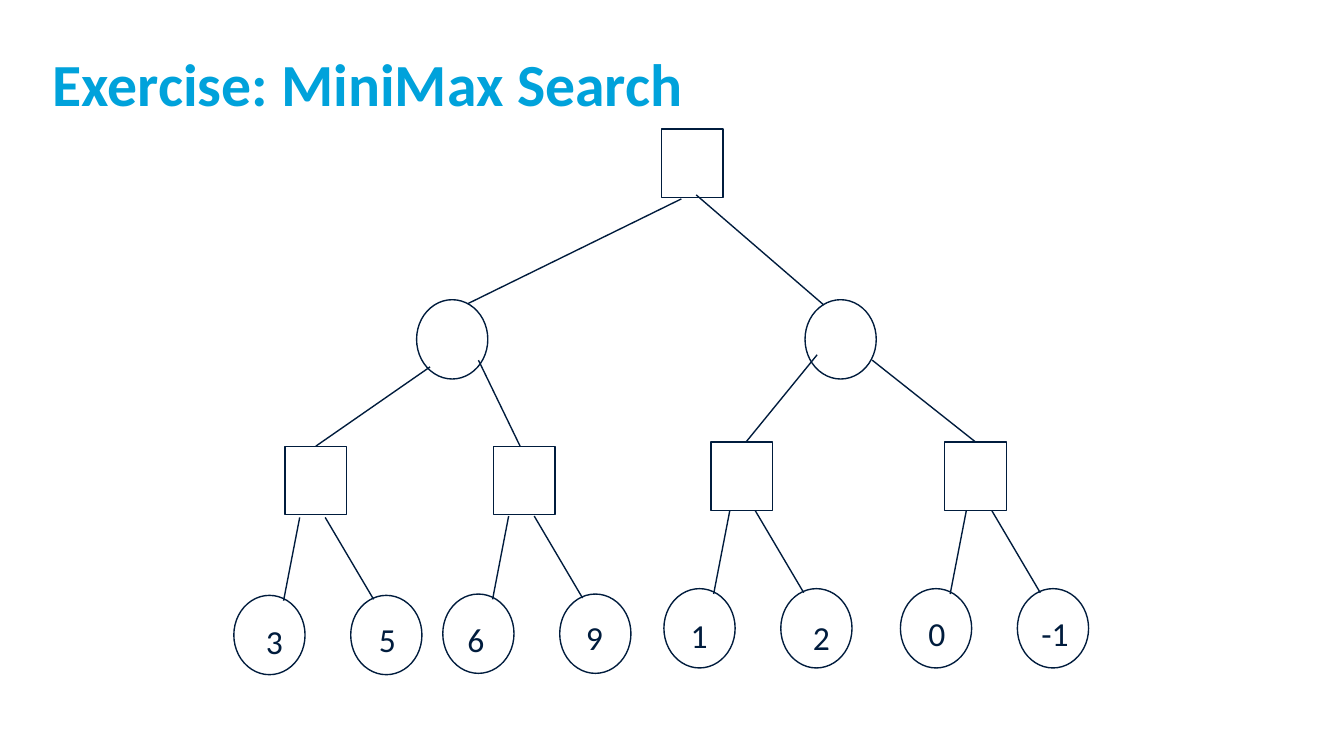
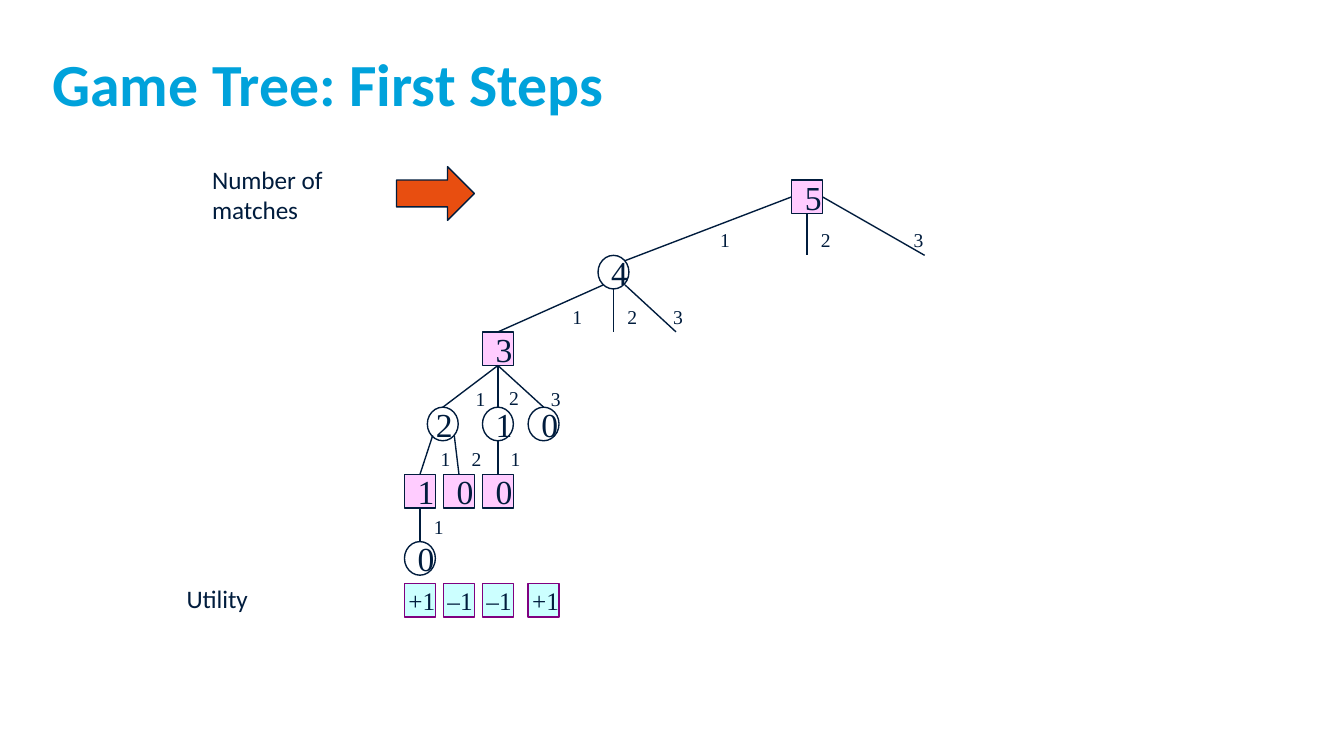
"""Build two slides of game trees for minimax search."""
from typing import NamedTuple, Optional

import lxml.etree
import pptx
import pptx.dml.color
import pptx.enum.shapes
import pptx.enum.text
import pptx.oxml.ns
import pptx.util

PX = 4572
COLORS = {"title": "00A2DB", "ink": "001C3D", "white": "FFFFFF", "max": "FFCCFF",
          "utility": "CCFFFF", "purple": "800080", "arrow": "E84E10"}
SANS, SERIF = "Calibri", "Times New Roman"
SHAPES = pptx.enum.shapes.MSO_SHAPE
SQUARE, CIRCLE = SHAPES.RECTANGLE, SHAPES.OVAL
ANCHOR = pptx.enum.text.MSO_ANCHOR
FIT = pptx.enum.text.MSO_AUTO_SIZE.SHAPE_TO_FIT_TEXT
LEFT = pptx.enum.text.PP_ALIGN.LEFT
TITLE_AREA = (78, 68, 1822, 124)
LINE_WIDTH = pptx.util.Pt(0.75)
GLUE_REACH = 2
NARROW = {"margin_left": 6 * PX, "margin_right": 20 * PX}


class Node(NamedTuple):
    kind: SHAPES
    left: int
    top: int
    width: int
    height: int
    fill: Optional[str] = "white"
    line: str = "ink"
    text: str = ""
    size: float = 18
    frame: dict = {}


class Label(NamedTuple):
    text: str
    left: int
    top: int
    width: int = 56
    height: int = 56
    size: float = 10.5
    font: str = SERIF
    wrap: bool = False


class Branch(NamedTuple):
    start: tuple[int, int]
    end: tuple[int, int]


def rgb(name: str) -> pptx.dml.color.RGBColor:
    return pptx.dml.color.RGBColor.from_string(COLORS[name])


def apply(target, values: dict) -> None:
    for name, value in values.items():
        setattr(target, name, value)


def write(box, text: str, font: str, size: float, frame: dict,
          color: str = "ink", bold: bool = False) -> None:
    apply(box.text_frame, frame)
    para = box.text_frame.paragraphs[0]
    para.alignment = LEFT
    span = para.add_run()
    span.text = text
    apply(span.font, {"name": font, "size": pptx.util.Pt(size), "bold": bold})
    span.font.color.rgb = rgb(color)


def add_page(deck, title: str):
    page = deck.slides.add_slide(deck.slide_layouts.get_by_name("Title Only"))
    box = page.shapes.title
    sides = ("left", "top", "width", "height")
    apply(box, {side: value * PX for side, value in zip(sides, TITLE_AREA)})
    frame = {f"margin_{side}": 0 for side in ("left", "top", "right", "bottom")}
    frame |= {"vertical_anchor": ANCHOR.MIDDLE, "word_wrap": True,
              "auto_size": pptx.enum.text.MSO_AUTO_SIZE.NONE}
    write(box, title, SANS, 32, frame, "title", True)
    box.text_frame.paragraphs[0].line_spacing = 0.9
    return page


def add_node(page, node: Node):
    shape = page.shapes.add_shape(
        node.kind, *(value * PX for value in (node.left, node.top, node.width, node.height)))
    shape.shadow.inherit = False
    if node.fill:
        shape.fill.solid()
        shape.fill.fore_color.rgb = rgb(node.fill)
    else:
        shape.fill.background()
    shape.line.color.rgb = rgb(node.line)
    shape.line.width = LINE_WIDTH
    if node.text:
        frame = {"word_wrap": False, "vertical_anchor": ANCHOR.MIDDLE} | node.frame
        write(shape, node.text, SERIF, node.size, frame)
    return shape


def add_label(page, label: Label) -> None:
    box = page.shapes.add_textbox(
        *(value * PX for value in (label.left, label.top, label.width, label.height)))
    frame = {"word_wrap": label.wrap, "auto_size": FIT}
    write(box, label.text, label.font, label.size, frame)


def find_joint(squares: list, point: tuple[int, int]):
    for square in squares:
        right, bottom = square.left + square.width, square.top + square.height
        middle_x, middle_y = square.left + square.width // 2, square.top + square.height // 2
        sides = ((middle_x, square.top), (square.left, middle_y),
                 (middle_x, bottom), (right, middle_y))
        for site, (x, y) in enumerate(sides):
            if max(abs(x - point[0] * PX), abs(y - point[1] * PX)) <= GLUE_REACH * PX:
                return square, site
    return None


def add_branch(page, branch: Branch, squares: list) -> None:
    line = page.shapes.add_connector(
        pptx.enum.shapes.MSO_CONNECTOR.STRAIGHT,
        *(value * PX for value in branch.start + branch.end))
    line.line.color.rgb = rgb("ink")
    line.line.width = LINE_WIDTH
    properties = line._element.spPr
    lxml.etree.SubElement(properties, pptx.oxml.ns.qn("a:effectLst"))
    for point, connect in ((branch.start, line.begin_connect), (branch.end, line.end_connect)):
        joint = find_joint(squares, point)
        if joint:
            connect(*joint)


def add_tree(page, nodes: list[Node], branches: list[Branch], labels: list[Label]) -> None:
    shapes = [add_node(page, node) for node in nodes]
    squares = [shape for shape, node in zip(shapes, nodes) if node.kind == SQUARE]
    for branch in branches:
        add_branch(page, branch, squares)
    for label in labels:
        add_label(page, label)


def build_exercise(deck) -> None:
    page = add_page(deck, "Exercise: MiniMax Search")
    square_size, circle_size = (92, 102), (106, 118)
    nodes = [Node(SQUARE, 984, 192, *square_size)]
    nodes += [Node(CIRCLE, left, 446, *circle_size) for left in (620, 1198)]
    nodes += [Node(SQUARE, left, top, *square_size, fill=None)
              for left, top in ((424, 664), (734, 664), (1058, 658), (1406, 658))]
    branches = [
        Branch((1014, 296), (696, 452)), Branch((1036, 290), (1226, 454)),
        Branch((640, 546), (470, 664)), Branch((712, 536), (774, 664)),
        Branch((1216, 528), (1110, 658)), Branch((1298, 536), (1452, 658)),
    ]
    for left, top in ((348, 886), (659, 884), (988, 876), (1340, 876)):
        nodes += [Node(CIRCLE, left + step, top, *circle_size) for step in (0, 174)]
        branches += [Branch((left + 98, top - 116), (left + 74, top + 8)),
                     Branch((left + 136, top - 116), (left + 208, top + 6))]
    values = (("3", 376, 914), ("5", 544, 912), ("6", 676, 912), ("9", 852, 908),
              ("1", 1008, 906), ("2", 1190, 908), ("0", 1362, 902), ("-1", 1530, 902))
    labels = [Label(*value, 102, 68, 18, SANS, True) for value in values]
    add_tree(page, nodes, branches, labels)


def build_first_steps(deck) -> None:
    page = add_page(deck, "Game Tree: First Steps")
    node_size = (46, 50)
    max_nodes = (("5", 1178, 268), ("3", 718, 494), ("1", 602, 706),
                 ("0", 660, 706), ("0", 718, 706))
    min_nodes = (("4", 890, 380, {}), ("2", 636, 606, NARROW), ("1", 718, 606, {}),
                 ("0", 786, 606, {}), ("0", 602, 806, {}))
    utilities = (("+1", 602), ("–1", 660), ("–1", 718), ("+1", 786))
    nodes = [Node(SQUARE, left, top, *node_size, fill="max", text=text)
             for text, left, top in max_nodes]
    nodes += [Node(CIRCLE, left, top, *node_size, text=text, frame=frame)
              for text, left, top, frame in min_nodes]
    nodes += [Node(SQUARE, left, 868, *node_size, "utility", "purple", text, 13.5, NARROW)
              for text, left in utilities]
    nodes.append(Node(SHAPES.RIGHT_ARROW, 590, 248, 116, 80, "arrow"))
    branches = [
        Branch((1178, 293), (930, 388)), Branch((1201, 318), (1201, 380)),
        Branch((1224, 293), (1376, 380)),
        Branch((898, 424), (741, 494)), Branch((913, 430), (913, 494)),
        Branch((930, 424), (1006, 494)),
        *(Branch((741, 544), (x, 606)) for x in (659, 741, 809)),
        Branch((644, 648), (625, 706)), Branch((676, 648), (683, 706)),
        Branch((741, 656), (741, 706)), Branch((625, 756), (625, 806)),
    ]
    moves = (("1", 1052, 330), ("2", 1202, 330), ("3", 1340, 330),
             ("1", 832, 444), ("2", 914, 444), ("3", 982, 444),
             ("1", 688, 566), ("2", 738, 564), ("3", 800, 566),
             ("1", 636, 656), ("2", 682, 656), ("1", 740, 656), ("1", 626, 756))
    labels = [Label(*move) for move in moves]
    labels += [Label("Number of matches", 296, 234, 250, 112, 13.5, SANS, True),
               Label("Utility", 258, 858, 328, 66, 13.5, SANS, True)]
    add_tree(page, nodes, branches, labels)


def main() -> None:
    deck = pptx.Presentation()
    apply(deck, {"slide_width": 2000 * PX, "slide_height": 1125 * PX})
    build_exercise(deck)
    build_first_steps(deck)
    deck.save("out.pptx")


if __name__ == "__main__":
    main()
